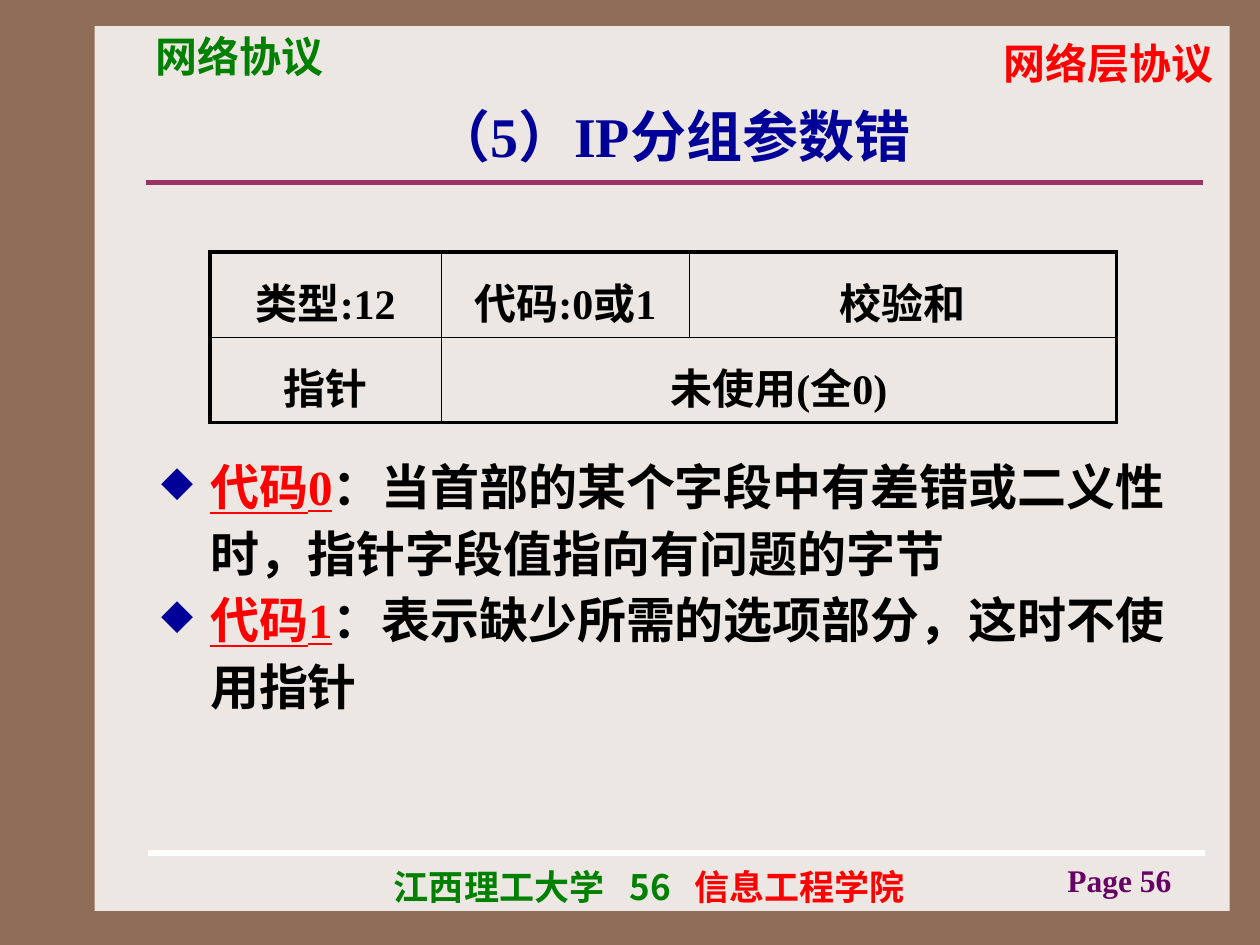
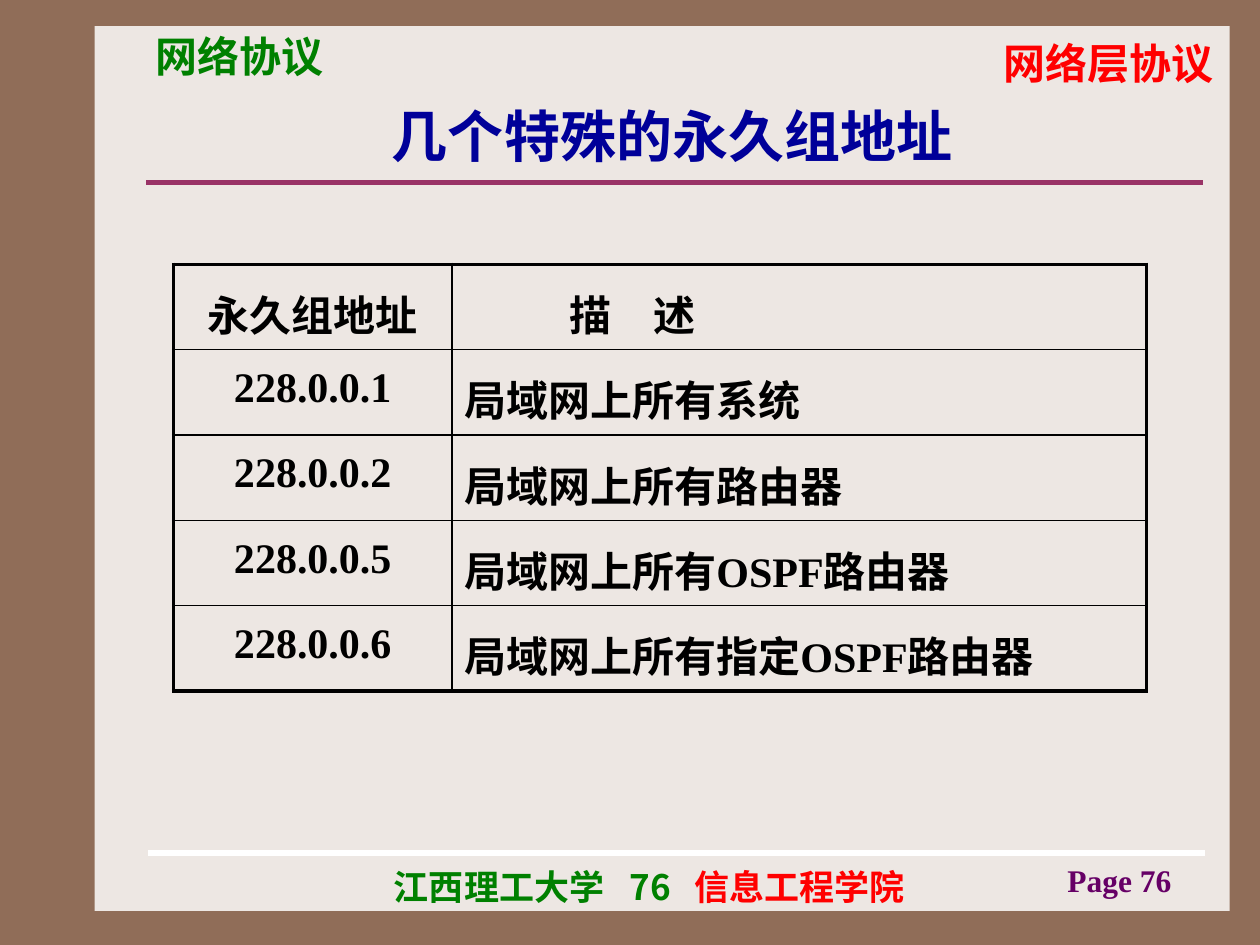
from lxml import etree
from pptx import Presentation
from pptx.dml.color import RGBColor
from pptx.enum import shapes, text
from pptx.oxml import ns
from pptx.util import Pt

COLOURS = {
    "frame": "906D58", "panel": "EDE7E3", "red": "FF0000", "green": "008000",
    "rule": "993366", "white": "FFFFFF", "page": "660066", "title": "000099",
    "ink": "000000",
}
SERIF, SANS, CJK = "Times New Roman", "Arial", "Noto Sans CJK SC"
LEFT, CENTRE, RIGHT = text.PP_ALIGN.LEFT, text.PP_ALIGN.CENTER, text.PP_ALIGN.RIGHT
ROW_HEIGHT = 48.8
OUTER, INNER = 2.25, 1


def colour(name):
    """Return a named colour."""
    return RGBColor.from_string(COLOURS[name])


def add_xml(parent, tag, **attributes):
    """Append a DrawingML element and return it."""
    return etree.SubElement(parent, ns.qn(tag), {key: str(value) for key, value in attributes.items()})


def write(para, words, size=24, font=SERIF, ink="ink", underline=False):
    """Add a bold span of text to a paragraph."""
    span = para.add_run()
    span.text = words
    span.font.size, span.font.name = Pt(size), font
    span.font.bold, span.font.underline = True, underline
    span.font.color.rgb = colour(ink)
    add_xml(span.font._element, "a:ea", typeface=CJK)


def add_box(page, left, top, width, height, align=LEFT):
    """Add a wrapping text box and return its first paragraph."""
    box = page.shapes.add_textbox(Pt(left), Pt(top), Pt(width), Pt(height))
    box.text_frame.word_wrap = True
    para = box.text_frame.paragraphs[0]
    para.alignment = align
    return para


def add_rule(page, left, top, width, ink):
    """Draw a horizontal rule."""
    rule = page.shapes.add_connector(
        shapes.MSO_CONNECTOR.STRAIGHT, Pt(left), Pt(top), Pt(left + width), Pt(top))
    rule.line.color.rgb, rule.line.width = colour(ink), Pt(3)
    add_xml(rule._element.spPr, "a:effectLst")


def add_panel(page):
    """Lay the light panel on the brown frame, behind the title."""
    page.background.fill.solid()
    page.background.fill.fore_color.rgb = colour("frame")
    panel = page.shapes.add_shape(
        shapes.MSO_SHAPE.RECTANGLE, Pt(54), Pt(15), Pt(648.7), Pt(505.5))
    panel.shadow.inherit = False
    panel.fill.solid()
    panel.fill.fore_color.rgb = colour("panel")
    panel.line.fill.background()
    page.shapes.title.element.addprevious(panel.element)


def add_header(page, heading):
    """Place the course name, chapter name, title and rule."""
    write(add_box(page, 82, 13.7, 187, 36), "网络协议", font=SANS, ink="green")
    write(add_box(page, 366, 18, 334.5, 36, RIGHT), "网络层协议", font=SANS, ink="red")
    title = page.shapes.title
    title.left, title.top, title.width, title.height = Pt(84.2), Pt(54), Pt(600), Pt(46)
    frame = title.text_frame
    frame.vertical_anchor, frame.auto_size = text.MSO_ANCHOR.MIDDLE, text.MSO_AUTO_SIZE.NONE
    frame.paragraphs[0].alignment = CENTRE
    write(frame.paragraphs[0], heading, size=32, ink="title")
    add_rule(page, 83.5, 104.4, 604, "rule")


def add_footer(page, number):
    """Place the footer rule, school names and page number."""
    add_rule(page, 84.5, 487.5, 604, "white")
    school = add_box(page, 218, 491, 317.5, 31)
    tabs = add_xml(school._p.get_or_add_pPr(), "a:tabLst")
    for stop in (134.6, 171.8):
        add_xml(tabs, "a:tab", pos=Pt(stop), algn="l")
    write(school, f"江西理工大学\t{number}\t", size=20, font=CJK, ink="green")
    write(school, "信息工程学院", size=20, font=CJK, ink="red")
    write(add_box(page, 574.5, 488.5, 102, 25, RIGHT), f"Page {number}", size=18, ink="page")


def add_page(deck, heading, number):
    """Add a title-only slide with the shared frame."""
    page = deck.slides.add_slide(deck.slide_layouts[5])
    add_panel(page)
    add_header(page, heading)
    add_footer(page, number)
    return page


def set_borders(cell, widths):
    """Draw the left, right, top and bottom borders of a cell."""
    properties = cell._tc.get_or_add_tcPr()
    for side, width in zip("LRTB", widths):
        line = add_xml(properties, f"a:ln{side}", w=Pt(width))
        add_xml(add_xml(line, "a:solidFill"), "a:srgbClr", val=COLOURS["ink"])


def add_grid(page, left, top, columns, rows, aligns):
    """Add a table with a heavy outline; None joins a cell to the one before."""
    table = page.shapes.add_table(
        len(rows), len(columns), Pt(left), Pt(top),
        Pt(sum(columns)), Pt(ROW_HEIGHT * len(rows))).table
    table.first_row = table.horz_banding = False
    for column, width in zip(table.columns, columns):
        column.width = Pt(width)
    for r, row in enumerate(rows):
        table.rows[r].height = Pt(ROW_HEIGHT)
        for c, words in enumerate(row):
            cell = table.cell(r, c)
            edges = (c == 0, c == len(row) - 1 or None in row[c + 1:c + 2],
                     r == 0, r == len(rows) - 1)
            set_borders(cell, [OUTER if edge else INNER for edge in edges])
            cell.fill.background()
            if words is None:
                table.cell(r, c - 1).merge(cell)
                continue
            para = cell.text_frame.paragraphs[0]
            para.alignment, para.line_spacing = aligns[c], 1.2
            write(para, words)
    return table


def add_bullets(page, left, top, width, height, items):
    """Add diamond bullets, each with an underlined red term."""
    first = add_box(page, left, top, width, height)
    frame = first._parent
    for index, (term, meaning) in enumerate(items):
        para = frame.add_paragraph() if index else first
        properties = para._p.get_or_add_pPr()
        properties.set("marL", str(Pt(28)))
        properties.set("indent", str(Pt(-28)))
        add_xml(add_xml(properties, "a:buClr"), "a:srgbClr", val=COLOURS["title"])
        add_xml(properties, "a:buSzPct", val=85000)
        add_xml(properties, "a:buChar", char="◆")
        para.line_spacing = 1.13
        write(para, term, size=28, ink="red", underline=True)
        write(para, meaning, size=28)


def build_parameter_error(deck):
    """Build the slide on IP parameter errors."""
    page = add_page(deck, "（5）IP分组参数错", 56)
    add_grid(page, 120, 144, (132.3, 141.7, 244),
             [("类型:12", "代码:0或1", "校验和"), ("指针", "未使用(全0)", None)],
             (CENTRE, CENTRE, CENTRE))
    add_bullets(page, 85, 253, 595.5, 203, [
        ("代码0", "：当首部的某个字段中有差错或二义性时，指针字段值指向有问题的字节"),
        ("代码1", "：表示缺少所需的选项部分，这时不使用指针"),
    ])


def build_group_addresses(deck):
    """Build the slide on permanent group addresses."""
    page = add_page(deck, "几个特殊的永久组地址", 76)
    table = add_grid(page, 99.2, 151, (159, 396.8), [
        ("永久组地址", "描　述"),
        ("228.0.0.1", "局域网上所有系统"),
        ("228.0.0.2", "局域网上所有路由器"),
        ("228.0.0.5", "局域网上所有OSPF路由器"),
        ("228.0.0.6", "局域网上所有指定OSPF路由器"),
    ], (CENTRE, LEFT))
    table.cell(0, 1).margin_left = Pt(67)


def main():
    """Build and save the deck."""
    deck = Presentation()
    deck.slide_width, deck.slide_height = Pt(720), Pt(540)
    build_parameter_error(deck)
    build_group_addresses(deck)
    deck.save("out.pptx")


if __name__ == "__main__":
    main()
